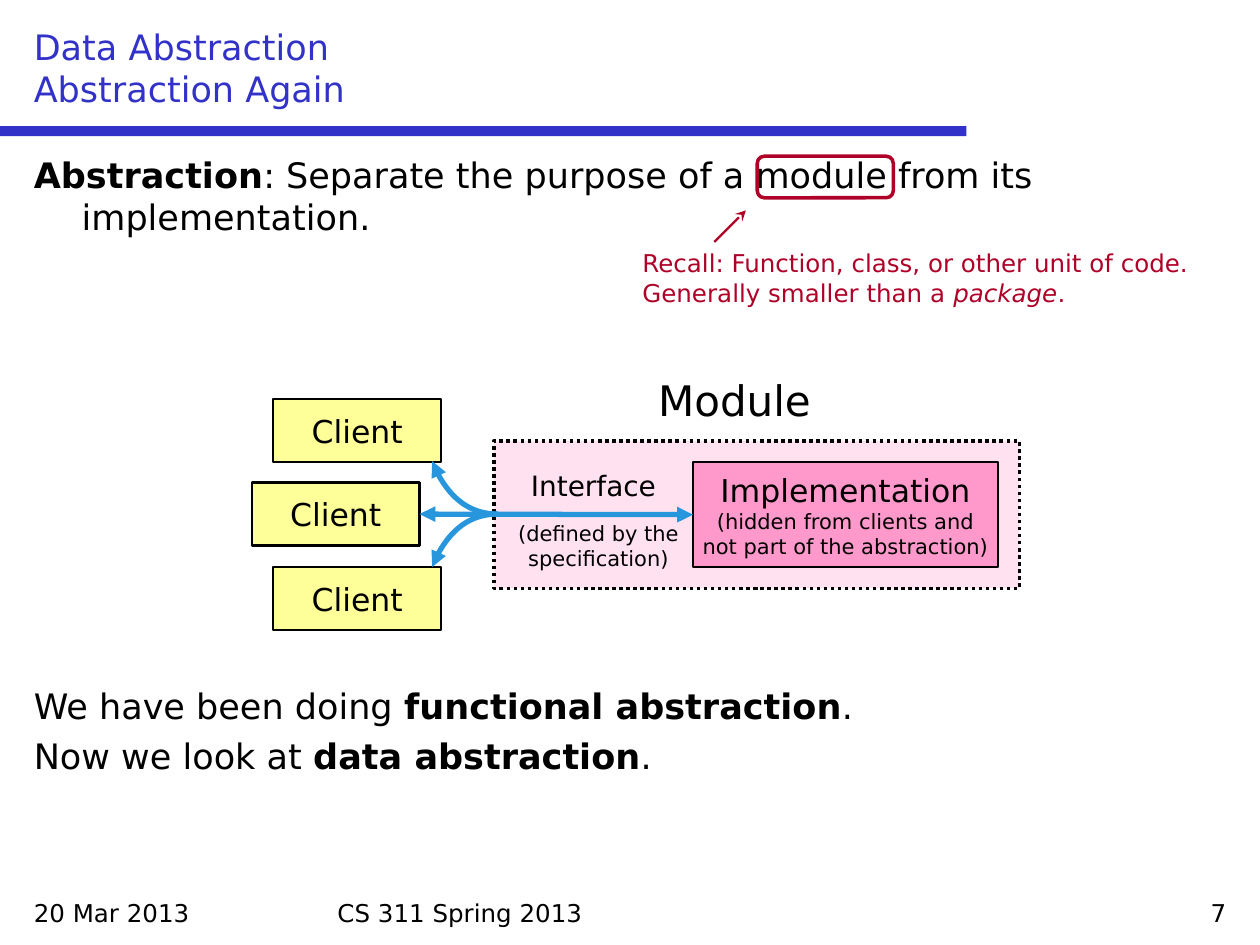
from dataclasses import dataclass

from pptx import Presentation
from pptx.dml.color import RGBColor
from pptx.enum.dml import MSO_LINE
from pptx.enum.shapes import MSO_CONNECTOR, MSO_SHAPE
from pptx.enum.text import MSO_ANCHOR, PP_ALIGN
from pptx.oxml.ns import qn
from pptx.util import Inches, Pt
from lxml.etree import SubElement


@dataclass(frozen=True)
class Theme:
    """Colours, font and type sizes of the slide."""

    font: str = "DejaVu Sans"
    black: str = "000000"
    indigo: str = "3232C8"
    crimson: str = "AF0028"
    sky: str = "2896DC"
    yellow: str = "FFFF99"
    blush: str = "FFE1F0"
    pink: str = "FF99CC"
    module: int = 24
    body: int = 20
    label: int = 18
    interface: int = 16
    note: int = 14
    detail: int = 12


class SlideBuilder:
    """Draws styled elements on the current slide."""

    def __init__(self, slide, theme):
        """Keep the slide and its theme."""
        self.slide = slide
        self.theme = theme

    def fill_text(self, frame, paragraphs, size, color=None, align=PP_ALIGN.LEFT, hanging=False):
        """Fill a frame from paragraphs of (text, format) runs."""
        for index, runs in enumerate(paragraphs):
            paragraph = frame.add_paragraph() if index else frame.paragraphs[0]
            paragraph.alignment = align
            if hanging:
                properties = paragraph._p.get_or_add_pPr()
                properties.set("marL", str(Inches(0.38)))
                properties.set("indent", str(-Inches(0.38)))
            if index:
                paragraph.space_before = Pt(4.7)
            for text, changes in runs:
                values = {"name": self.theme.font, "size": Pt(size), **changes}
                for position, line in enumerate(text.split("\n")):
                    if position:
                        paragraph.add_line_break()
                    if not line:
                        continue
                    run = paragraph.add_run()
                    run.text = line
                    run.font.color.rgb = RGBColor.from_string(color or self.theme.black)
                    for name, value in values.items():
                        setattr(run.font, name, value)

    def text(self, box, paragraphs, size, anchor=MSO_ANCHOR.TOP, **style):
        """Add a wrapping text box."""
        shape = self.slide.shapes.add_textbox(*map(Inches, box))
        shape.text_frame.word_wrap = True
        shape.text_frame.vertical_anchor = anchor
        self.fill_text(shape.text_frame, paragraphs, size, **style)

    def outline(self, line, color, width):
        """Set the colour and width of a line."""
        line.color.rgb = RGBColor.from_string(color)
        line.width = Pt(width)

    def box(self, box, fill=None, line=None, width=1.25, runs=None, kind=MSO_SHAPE.RECTANGLE):
        """Add a preset shape with an optional centred label."""
        shape = self.slide.shapes.add_shape(kind, *map(Inches, box))
        shape.shadow.inherit = False
        if fill:
            shape.fill.solid()
            shape.fill.fore_color.rgb = RGBColor.from_string(fill)
        else:
            shape.fill.background()
        if line:
            self.outline(shape.line, line, width)
        else:
            shape.line.fill.background()
        if runs:
            shape.text_frame.word_wrap = False
            shape.text_frame.vertical_anchor = MSO_ANCHOR.MIDDLE
            self.fill_text(shape.text_frame, [runs], self.theme.label, align=PP_ALIGN.CENTER)
        return shape

    def arrow(self, start, end, color, width, tail, head=None):
        """Add a straight connector with arrowheads."""
        points = map(Inches, (*start, *end))
        connector = self.slide.shapes.add_connector(MSO_CONNECTOR.STRAIGHT, *points)
        self.outline(connector.line, color, width)
        self.arrowheads(connector, tail, head)
        SubElement(connector._element.spPr, qn("a:effectLst"))
        return connector

    def arrowheads(self, shape, tail, head=None):
        """Put arrowheads on the ends of a line."""
        for tag, kind in (("a:headEnd", head), ("a:tailEnd", tail)):
            if kind:
                SubElement(shape.line._get_or_add_ln(), qn(tag), type=kind)

    def curve(self, points, color, width):
        """Add an arrow along one cubic Bezier curve."""
        start, *others = [tuple(map(Inches, point)) for point in points]
        builder = self.slide.shapes.build_freeform(*start)
        builder.add_line_segments(others, close=False)
        shape = builder.convert_to_shape()
        shape.shadow.inherit = False
        shape.fill.background()
        self.outline(shape.line, color, width)
        self.arrowheads(shape, "triangle")
        outline = next(shape._element.iter(qn("a:path")))
        segments = outline.findall(qn("a:lnTo"))
        bezier = SubElement(outline, qn("a:cubicBezTo"))
        for segment in segments:
            bezier.append(segment[0])
            outline.remove(segment)


def main():
    """Build and save the slide."""
    theme = Theme()
    presentation = Presentation()
    presentation.slide_width, presentation.slide_height = Inches(10), Inches(7.5)
    slide = presentation.slides.add_slide(presentation.slide_layouts[6])
    draw = SlideBuilder(slide, theme)
    bold, center = {"bold": True}, PP_ALIGN.CENTER

    draw.box((0, 1, 7.67, 0.08), theme.indigo)
    for left, width, text, align in (
        (0.17, 2.33, "20 Mar 2013", PP_ALIGN.LEFT),
        (2.58, 4.83, "CS 311 Spring 2013", PP_ALIGN.LEFT),
        (7.5, 2.33, "7", PP_ALIGN.RIGHT),
    ):
        draw.text((left, 7.08, width, 0.33), [[(text, {})]], theme.note, align=align)

    draw.text((0.17, 0.17, 9.67, 0.75), [[("Data Abstraction\nAbstraction Again", {})]],
              theme.body, MSO_ANCHOR.BOTTOM, color=theme.indigo)
    definition = [("Abstraction", bold),
                  (": Separate the purpose of a module from its implementation.", {})]
    draw.text((0.17, 1.17, 9.67, 0.8), [definition], theme.body, hanging=True)
    closing = [
        [("We have been doing ", {}), ("functional abstraction", bold), (".", {})],
        [("Now we look at ", {}), ("data abstraction", bold), (".", {})],
    ]
    draw.text((0.17, 5.38, 9.67, 0.85), closing, theme.body, hanging=True)

    clients = [
        draw.box((left, top, 1.33, 0.5), theme.yellow, theme.black, runs=[("Client", {})])
        for left, top in ((2.17, 3.17), (2, 3.83), (2.17, 4.5))
    ]
    module = draw.box((3.92, 3.5, 4.17, 1.17), theme.blush, theme.black, 2)
    module.line.dash_style = MSO_LINE.ROUND_DOT
    implementation = draw.box(
        (5.5, 3.67, 2.42, 0.83), theme.pink, theme.black,
        runs=[("Implementation\n", {}),
              ("(hidden from clients and\nnot part of the abstraction)",
               {"size": Pt(theme.detail)})])

    axis = 4.08
    interface = draw.arrow((3.33, axis), (5.5, axis), theme.sky, 3, "triangle", "triangle")
    interface.begin_connect(clients[1], 3)
    interface.end_connect(implementation, 1)
    for side in (-1, 1):
        draw.curve([(3.95, axis), (3.73, axis), (3.52, axis + side * 0.17),
                    (3.43, axis + side * 0.42)], theme.sky, 3)

    for box, text, size in (
        ((5.08, 2.92, 1.5, 0.51), "Module", theme.module),
        ((4, 3.67, 1.42, 0.37), "Interface", theme.interface),
        ((4, 4.08, 1.5, 0.51), "(defined by the specification)", theme.detail),
    ):
        draw.text(box, [[(text, {})]], size, align=center)

    recall = [("Recall: Function, class, or other unit of code. Generally smaller than a ", {}),
              ("package", {"italic": True}), (".", {})]
    draw.text((5, 1.92, 4.83, 0.58), [recall], theme.note, color=theme.crimson)
    draw.arrow((5.67, 1.92), (5.92, 1.67), theme.crimson, 1.25, "stealth")
    highlight = draw.box((6.01, 1.24, 1.08, 0.33), None, theme.crimson, 2,
                         kind=MSO_SHAPE.ROUNDED_RECTANGLE)
    highlight.adjustments[0] = 0.17

    presentation.save("out.pptx")


if __name__ == "__main__":
    main()
